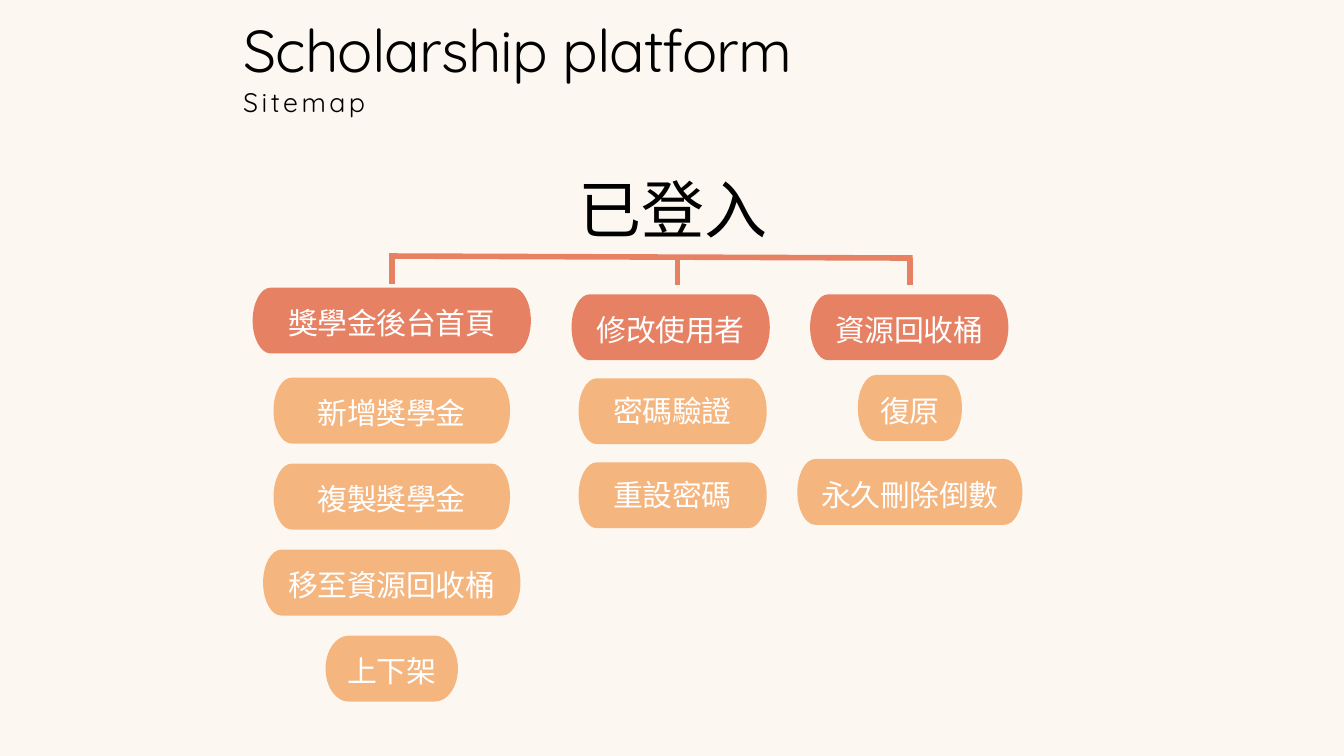
from typing import NamedTuple

from lxml.etree import SubElement
from pptx import Presentation
from pptx.dml.color import RGBColor
from pptx.enum.shapes import MSO_CONNECTOR
from pptx.enum.text import MSO_ANCHOR, MSO_AUTO_SIZE, PP_ALIGN
from pptx.oxml.ns import qn
from pptx.util import Inches, Pt

CREAM = RGBColor(0xFC, 0xF8, 0xF1)
CORAL = RGBColor(0xE6, 0x81, 0x64)
APRICOT = RGBColor(0xF5, 0xB5, 0x7F)
BLACK = RGBColor(0, 0, 0)
WHITE = RGBColor(0xFF, 0xFF, 0xFF)

HEADING_FONT = "Quicksand"
BODY_FONT = "Calibri"
NODE_HEIGHT = 0.98
NODE_INSET = 0.08
ARC_HANDLE = 0.55


class Node(NamedTuple):
    label: str
    width: float
    end_width: float = 0.27


class Branch(NamedTuple):
    head_center: float
    head_top: float
    child_center: float
    child_top: float
    step: float
    lift: float
    head: Node
    children: list


BRANCHES = [
    Branch(5.83, 4.28, 5.83, 5.62, 1.28, 0, Node("獎學金後台首頁", 4.14), [
        Node("新增獎學金", 3.52),
        Node("複製獎學金", 3.52),
        Node("移至資源回收桶", 3.83),
        Node("上下架", 1.97, 0.34),
    ]),
    Branch(9.98, 4.38, 10.01, 5.63, 1.25, 0.05, Node("修改使用者", 2.95), [
        Node("密碼驗證", 2.8),
        Node("重設密碼", 2.8),
    ]),
    Branch(13.53, 4.38, 13.54, 5.58, 1.25, 0, Node("資源回收桶", 2.95), [
        Node("復原", 1.55),
        Node("永久刪除倒數", 3.35),
    ]),
]

TREE_LINES = [
    ((13.58, 3.84), (5.79, 3.81)),
    ((10.08, 4.24), (10.08, 3.84)),
    ((13.54, 4.24), (13.54, 3.84)),
    ((5.83, 4.22), (5.83, 3.82)),
]


def write_line(frame, text, font_name, size, color, line_height, tracking=0, align=PP_ALIGN.LEFT):
    frame.word_wrap = True
    para = frame.paragraphs[0]
    span = para.add_run()
    span.text = text
    if tracking:
        span._r.get_or_add_rPr().set("spc", str(round(tracking * 100)))
    para.alignment = align
    para.line_spacing = Pt(line_height)
    para.font.name = font_name
    para.font.size = Pt(size)
    para.font.color.rgb = color


def set_insets(frame, inset):
    frame.margin_left = frame.margin_right = Inches(inset)
    frame.margin_top = frame.margin_bottom = Inches(inset)


def place_heading(box, left, top, width, height, *text_style, **options):
    box.left, box.top = Inches(left), Inches(top)
    box.width, box.height = Inches(width), Inches(height)
    frame = box.text_frame
    set_insets(frame, 0)
    frame.vertical_anchor = MSO_ANCHOR.TOP
    frame.auto_size = MSO_AUTO_SIZE.SHAPE_TO_FIT_TEXT
    write_line(frame, *text_style, **options)


def add_heading(page, *place_and_style, **options):
    box = page.shapes.add_textbox(0, 0, 0, 0)
    place_heading(box, *place_and_style, **options)


def pill_end(center, middle, radius_x, radius_y):
    steps = [(0, -1), (ARC_HANDLE, -1), (1, -ARC_HANDLE), (1, 0),
             (1, ARC_HANDLE), (ARC_HANDLE, 1), (0, 1)]
    return [(Inches(center + radius_x * x), Inches(middle + radius_y * y)) for x, y in steps]


def round_corners(pill):
    segments = list(pill._element.iter(qn("a:lnTo")))
    for first in (0, 3, 7, 10):
        curve, *others = segments[first:first + 3]
        curve.tag = qn("a:cubicBezTo")
        for other in others:
            curve.append(other[0])
            other.getparent().remove(other)


def add_pill(page, center, top, width, end_width):
    middle, half_height = top + NODE_HEIGHT / 2, NODE_HEIGHT / 2
    reach = width / 2 - end_width
    right = pill_end(center + reach, middle, end_width, half_height)
    left = pill_end(center - reach, middle, -end_width, -half_height)
    builder = page.shapes.build_freeform(*right[0])
    builder.add_line_segments(right[1:] + left)
    pill = builder.convert_to_shape()
    round_corners(pill)
    return pill


def add_node(page, node, center, top, color, lift=0):
    pill = add_pill(page, center, top, node.width, node.end_width)
    pill.shadow.inherit = False
    pill.fill.solid()
    pill.fill.fore_color.rgb = color
    pill.line.fill.background()
    frame = pill.text_frame
    set_insets(frame, NODE_INSET)
    frame.margin_bottom = Inches(NODE_INSET + 2 * lift)
    frame.vertical_anchor = MSO_ANCHOR.MIDDLE
    write_line(frame, node.label, BODY_FONT, 32, WHITE, 43.2, -0.5, PP_ALIGN.CENTER)


def add_branch(page, branch):
    add_node(page, branch.head, branch.head_center, branch.head_top, CORAL)
    for row, child in enumerate(branch.children):
        top = branch.child_top + row * branch.step
        add_node(page, child, branch.child_center, top, APRICOT, branch.lift)


def add_tree_line(page, start, end):
    ends = [Inches(value) for value in (*start, *end)]
    line = page.shapes.add_connector(MSO_CONNECTOR.STRAIGHT, *ends)
    line.line.color.rgb = CORAL
    line.line.width = Pt(6)
    SubElement(line._element.spPr, qn("a:effectLst"))


def main():
    deck = Presentation()
    deck.slide_width, deck.slide_height = Inches(20), Inches(11.25)
    page = deck.slides.add_slide(deck.slide_layouts[5])
    page.background.fill.solid()
    page.background.fill.fore_color.rgb = CREAM

    place_heading(page.shapes.title, 3.62, 0.2, 9.03, 1.05,
                  "Scholarship platform", HEADING_FONT, 63.3, BLACK, 76, tracking=-0.9)
    add_heading(page, 3.62, 1.27, 4.73, 0.46,
                "Sitemap", HEADING_FONT, 28.7, BLACK, 34.4, tracking=3.7)
    add_heading(page, 8.41, 2.67, 3.21, 1.02,
                "已登入", BODY_FONT, 67.5, BLACK, 70.9, align=PP_ALIGN.CENTER)

    for branch in BRANCHES:
        add_branch(page, branch)
    for start, end in TREE_LINES:
        add_tree_line(page, start, end)
    deck.save("out.pptx")


if __name__ == "__main__":
    main()
